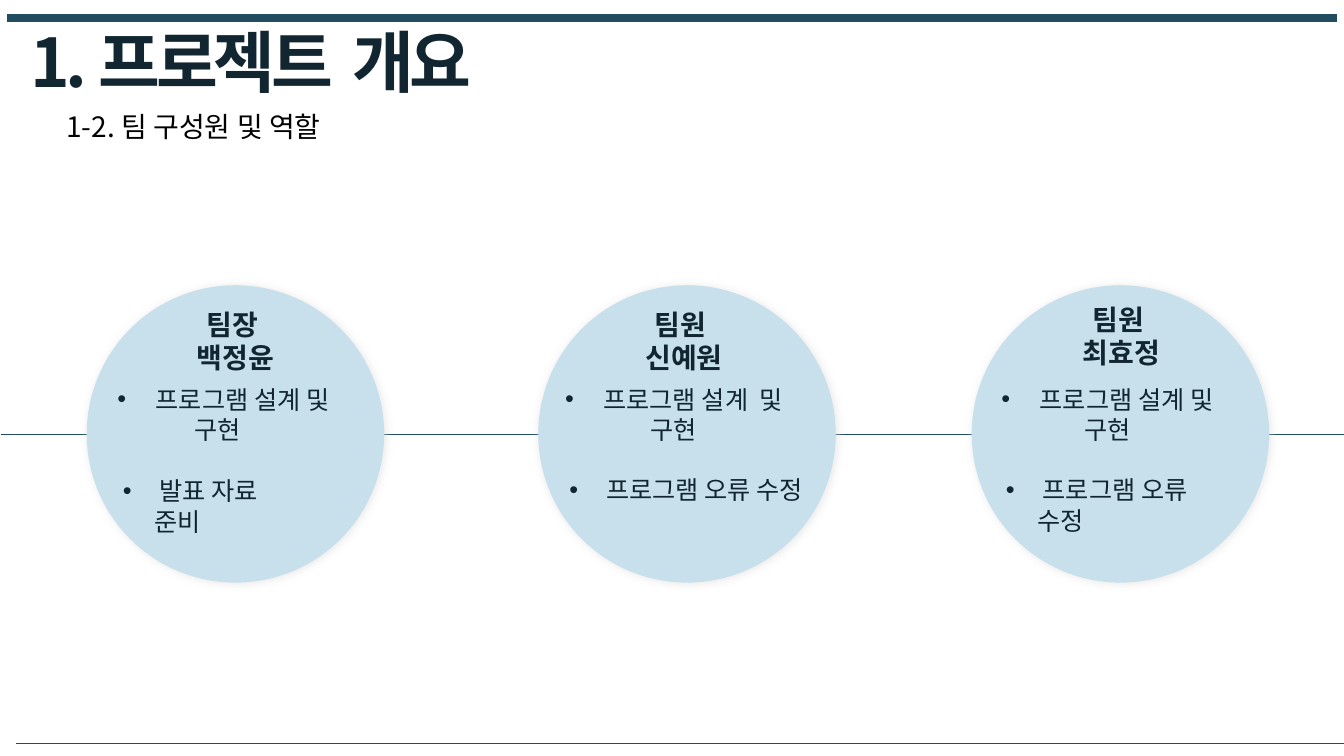
import dataclasses

import lxml.etree
import pptx
import pptx.dml.color
import pptx.enum.shapes
import pptx.enum.text
import pptx.oxml.ns
import pptx.util

ALIGN = pptx.enum.text.PP_ALIGN


@dataclasses.dataclass(frozen=True)
class Theme:
    """Colours, type and line sizes of the slide."""
    font: str = "Noto Sans CJK KR"
    ink: str = "112630"
    black: str = "000000"
    rule: str = "224D60"
    circle: str = "C7E0EB"
    shadow: str = "D9D9D9"
    title: int = 48
    title_gap: int = 60
    heading: int = 20
    task: int = 18


@dataclasses.dataclass(frozen=True)
class Member:
    """Texts of one team member and their boxes, in percent of the slide."""
    role: str
    name: str
    first_task: tuple
    second_task: str
    circle_left: float
    name_box: tuple
    first_box: tuple
    second_box: tuple


THEME = Theme()
WIDTH = pptx.util.Inches(13.33)
HEIGHT = pptx.util.Inches(7.5)
DIAMETER = 22.13
CIRCLE_TOP = 37.73

RULES = (
    (0.1, 100, 57.47, 0.5),
    (0.53, 99.45, 2.4, 6),
    (1.2, 100, 98.27, 0.25),
)

MEMBERS = (
    Member("팀장 ", "백정윤", ("프로그램 설계 및", "구현  "), " 발표 자료 준비", 6.45,
           (11.03, 40, 12.98, 10.27), (6.08, 50.13, 21.08, 13.87), (8.4, 62.27, 15.15, 5.33)),
    Member("팀원 ", "신예원", ("프로그램 설계  및", "구현"), " 프로그램 오류 수정", 40.05,
           (44.4, 40, 12.98, 10.27), (40.5, 50.13, 19.28, 9.47), (41.63, 62.13, 19.58, 5.33)),
    Member("팀원 ", "최효정", ("프로그램 설계 및", "구현"), " 프로그램 오류 수정", 72.3,
           (76.95, 39.33, 12.98, 10.27), (72.75, 50.13, 19.28, 9.47), (74.1, 62.13, 18.6, 5.33)),
)


def across(percent):
    """Return a share of the slide width."""
    return round(WIDTH * percent / 100)


def down(percent):
    """Return a share of the slide height."""
    return round(HEIGHT * percent / 100)


def place(box):
    """Turn a box in percent into left, top, width and height."""
    left, top, width, height = box
    return across(left), down(top), across(width), down(height)


def colour(value):
    """Return the colour for a hexadecimal value."""
    return pptx.dml.color.RGBColor.from_string(value)


def add_child(parent, tag, **attributes):
    """Append an element of the drawing namespace."""
    child = lxml.etree.SubElement(parent, pptx.oxml.ns.qn(tag))
    for key, value in attributes.items():
        child.set(key, str(value))
    return child


def format_run(run, size, ink=THEME.ink, bold=False):
    """Set font, size, colour and weight of a run."""
    run.font.size = pptx.util.Pt(size)
    run.font.bold = bold
    run.font.color.rgb = colour(ink)
    run.font.name = THEME.font
    add_child(run.font._element, "a:ea", typeface=THEME.font)


def set_bullet(paragraph, indent):
    """Give a paragraph a round bullet with a hanging indent."""
    properties = paragraph._p.get_or_add_pPr()
    hang = pptx.util.Inches(indent)
    properties.set("marL", str(hang))
    properties.set("indent", str(-hang))
    add_child(properties, "a:buFont", typeface="Arial")
    add_child(properties, "a:buChar", char="•")


def add_rule(slide, start, end, row, weight):
    """Draw a horizontal line."""
    line = slide.shapes.add_connector(
        pptx.enum.shapes.MSO_CONNECTOR.STRAIGHT, across(start), down(row), across(end), down(row))
    line.line.color.rgb = colour(THEME.rule)
    line.line.width = pptx.util.Pt(weight)
    add_child(line._element.spPr, "a:effectLst")


def add_circle(slide, left):
    """Draw a member circle with a soft shadow."""
    diameter = across(DIAMETER)
    circle = slide.shapes.add_shape(
        pptx.enum.shapes.MSO_SHAPE.OVAL, across(left), down(CIRCLE_TOP), diameter, diameter)
    circle.fill.solid()
    circle.fill.fore_color.rgb = colour(THEME.circle)
    circle.line.fill.background()
    circle.shadow.inherit = False
    effects = circle._element.spPr.find(pptx.oxml.ns.qn("a:effectLst"))
    shadow = add_child(effects, "a:outerShdw", blurRad=pptx.util.Pt(6), dist=pptx.util.Pt(1),
                       dir=45 * 60000, algn="tl", rotWithShape=0)
    tint = add_child(shadow, "a:srgbClr", val=THEME.shadow)
    add_child(tint, "a:alpha", val=60000)


def add_text(slide, box, lines, size, ink=THEME.ink, bold=False, align=ALIGN.LEFT, indent=None):
    """Add a wrapped text box, with a bullet on its first line if indented."""
    frame = slide.shapes.add_textbox(*place(box)).text_frame
    frame.text = "\n".join(lines)
    frame.word_wrap = True
    frame.auto_size = pptx.enum.text.MSO_AUTO_SIZE.SHAPE_TO_FIT_TEXT
    for paragraph in frame.paragraphs:
        paragraph.alignment = align
        format_run(paragraph.runs[0], size, ink, bold)
    if indent:
        set_bullet(frame.paragraphs[0], indent)


def add_title(slide, box):
    """Fill the title placeholder, with a wider gap before the last word."""
    title = slide.shapes.title
    title.left, title.top, title.width, title.height = place(box)
    frame = title.text_frame
    frame.word_wrap = True
    frame.vertical_anchor = pptx.enum.text.MSO_ANCHOR.TOP
    frame.auto_size = pptx.enum.text.MSO_AUTO_SIZE.SHAPE_TO_FIT_TEXT
    paragraph = frame.paragraphs[0]
    paragraph.alignment = ALIGN.LEFT
    for text, size in (("1. 프로젝트", THEME.title), (" ", THEME.title_gap), ("개요", THEME.title)):
        run = paragraph.add_run()
        run.text = text
        format_run(run, size, bold=True)
        run.font._element.set("spc", "-300")


def add_member(slide, member):
    """Write the role, name and tasks of a member."""
    add_text(slide, member.name_box, (member.role, member.name), THEME.heading,
             bold=True, align=ALIGN.CENTER)
    add_text(slide, member.first_box, member.first_task, THEME.task,
             align=ALIGN.CENTER, indent=0.38)
    add_text(slide, member.second_box, (member.second_task,), THEME.task, indent=0.31)


def main():
    """Build and save the slide."""
    presentation = pptx.Presentation()
    presentation.slide_width, presentation.slide_height = WIDTH, HEIGHT
    slide = presentation.slides.add_slide(presentation.slide_layouts.get_by_name("Title Only"))
    for rule in RULES:
        add_rule(slide, *rule)
    add_title(slide, (1.5, -0.27, 40.13, 14.8))
    for member in MEMBERS:
        add_circle(slide, member.circle_left)
    for member in MEMBERS:
        add_member(slide, member)
    add_text(slide, (4.2, 13.87, 23.48, 5.87), ("1-2. 팀 구성원 및 역할",), THEME.heading, THEME.black)
    presentation.save("out.pptx")


if __name__ == "__main__":
    main()
